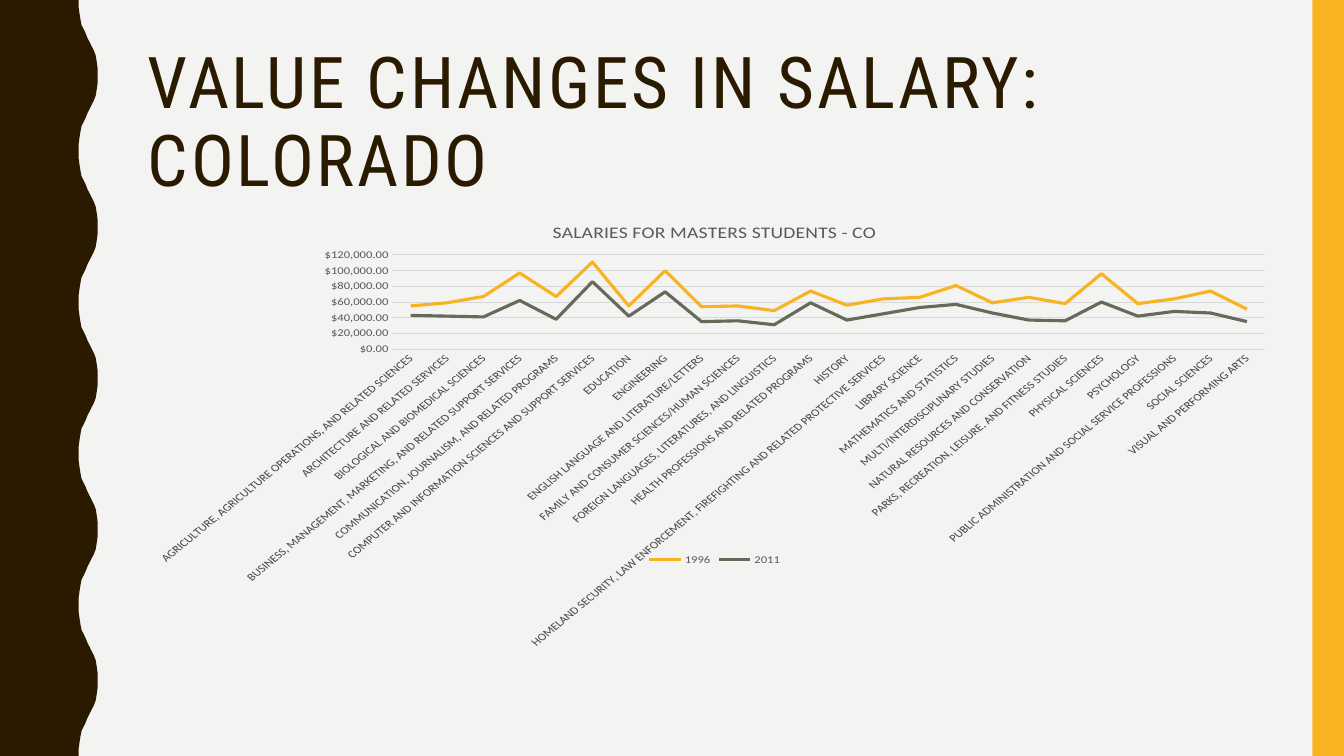
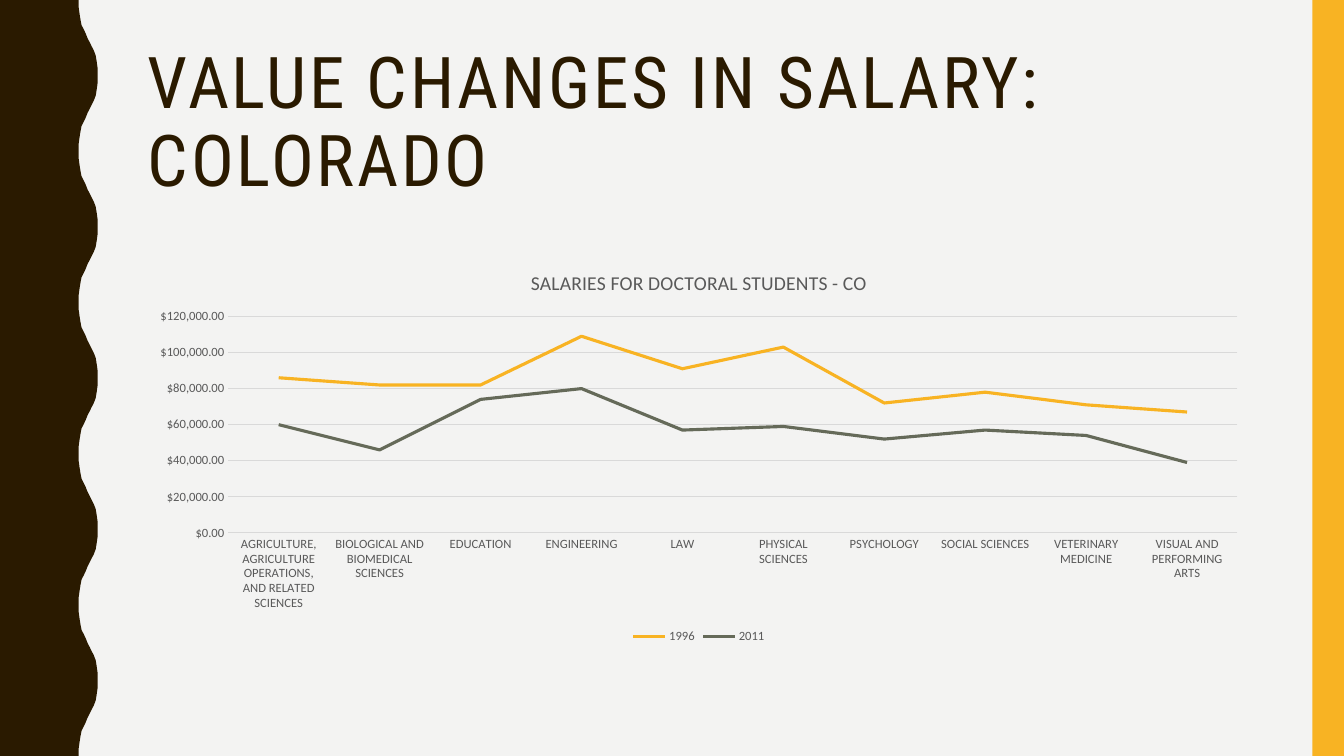
from pptx import Presentation
from pptx.chart.data import CategoryChartData
from pptx.dml.color import RGBColor
from pptx.enum import chart as ch, shapes, text
from pptx.util import Pt

BROWN = RGBColor(0x2A, 0x1A, 0x00)
GOLD = RGBColor(0xF8, 0xB3, 0x23)
OLIVE = RGBColor(0x65, 0x6A, 0x59)
PAPER = RGBColor(0xF3, 0xF3, 0xF2)
GRAY = RGBColor(0x59, 0x59, 0x59)
PALE = RGBColor(0xD9, 0xD9, 0xD9)
BLACK = RGBColor(0, 0, 0)

WIDTH, HEIGHT = 960, 540
HEADING = "VALUE CHANGES IN SALARY: COLORADO"

# Wavy edge: trough to crest, then mirrored to complete one period
PERIOD = 108
RISE = [(56.2, 0), (56.2, 5), (56.9, 10), (57.6, 14.4), (58.3, 18),
        (59.8, 20.9), (61.2, 23.8), (62.6, 27.4), (64.1, 30.2), (65.5, 33.1),
        (67, 36), (68.4, 39.6), (69.1, 43.9), (69.8, 49), (69.8, 54)]
WAVE = RISE + [(x, PERIOD - y) for x, y in RISE[-2::-1]]

# Each row: field of study, 1996 and 2011 salary in thousands of dollars
MASTERS = [
    ("AGRICULTURE, AGRICULTURE OPERATIONS, AND RELATED SCIENCES", 55, 43),
    ("ARCHITECTURE AND RELATED SERVICES", 59, 42),
    ("BIOLOGICAL AND BIOMEDICAL SCIENCES", 67, 41),
    ("BUSINESS, MANAGEMENT, MARKETING, AND RELATED SUPPORT SERVICES", 97, 62),
    ("COMMUNICATION, JOURNALISM, AND RELATED PROGRAMS", 67, 38),
    ("COMPUTER AND INFORMATION SCIENCES AND SUPPORT SERVICES", 111, 86),
    ("EDUCATION", 55, 42),
    ("ENGINEERING", 100, 73),
    ("ENGLISH LANGUAGE AND LITERATURE/LETTERS", 54, 35),
    ("FAMILY AND CONSUMER SCIENCES/HUMAN SCIENCES", 55, 36),
    ("FOREIGN LANGUAGES, LITERATURES, AND LINGUISTICS", 49, 31),
    ("HEALTH PROFESSIONS AND RELATED PROGRAMS", 74, 59),
    ("HISTORY", 56, 37),
    ("HOMELAND SECURITY, LAW ENFORCEMENT, FIREFIGHTING AND RELATED "
     "PROTECTIVE SERVICES", 64, 45),
    ("LIBRARY SCIENCE", 66, 53),
    ("MATHEMATICS AND STATISTICS", 81, 57),
    ("MULTI/INTERDISCIPLINARY STUDIES", 59, 46),
    ("NATURAL RESOURCES AND CONSERVATION", 66, 37),
    ("PARKS, RECREATION, LEISURE, AND FITNESS STUDIES", 58, 36),
    ("PHYSICAL SCIENCES", 96, 60),
    ("PSYCHOLOGY", 58, 42),
    ("PUBLIC ADMINISTRATION AND SOCIAL SERVICE PROFESSIONS", 64, 48),
    ("SOCIAL SCIENCES", 74, 46),
    ("VISUAL AND PERFORMING ARTS", 51, 35),
]
DOCTORAL = [
    ("AGRICULTURE, AGRICULTURE OPERATIONS, AND RELATED SCIENCES", 86, 60),
    ("BIOLOGICAL AND BIOMEDICAL SCIENCES", 82, 46),
    ("EDUCATION", 82, 74),
    ("ENGINEERING", 109, 80),
    ("LAW", 91, 57),
    ("PHYSICAL SCIENCES", 103, 59),
    ("PSYCHOLOGY", 72, 52),
    ("SOCIAL SCIENCES", 78, 57),
    ("VETERINARY MEDICINE", 71, 54),
    ("VISUAL AND PERFORMING ARTS", 67, 39),
]
# Chart title, rows, and left, top, width, height
SLIDES = [
    ("SALARIES FOR MASTERS STUDENTS - CO", MASTERS, (98.6, 147.6, 823.7, 315.4)),
    ("SALARIES FOR DOCTORAL STUDENTS - CO", DOCTORAL, (98.6, 180, 801.4, 283)),
]


def style_font(font, size, color, name="Calibri"):
    font.size, font.name, font.bold = Pt(size), name, False
    font.color.rgb = color


def paint(shape, color):
    shape.shadow.inherit = False
    shape.fill.solid()
    shape.fill.fore_color.rgb = color
    shape.line.fill.background()


prs = Presentation()
prs.slide_width, prs.slide_height = Pt(WIDTH), Pt(HEIGHT)

for chart_title, rows, frame in SLIDES:
    slide = prs.slides.add_slide(prs.slide_layouts[6])
    slide.background.fill.solid()
    slide.background.fill.fore_color.rgb = PAPER

    # Wavy band on the left, plain band on the right
    edge = [(x, y + top) for top in range(0, HEIGHT, PERIOD) for x, y in WAVE]
    outline = slide.shapes.build_freeform(0, 0)
    outline.add_line_segments(
        [(Pt(x), Pt(y)) for x, y in edge + [(0, HEIGHT)]], close=True)
    paint(outline.convert_to_shape(), BROWN)
    paint(slide.shapes.add_shape(shapes.MSO_SHAPE.RECTANGLE, Pt(937.5), 0,
                                 Pt(22.5), Pt(HEIGHT)), GOLD)

    # Heading
    heading = slide.shapes.add_textbox(Pt(98.6), Pt(30), Pt(801.4), Pt(117.6)).text_frame
    heading.word_wrap = True
    heading.vertical_anchor = text.MSO_ANCHOR.MIDDLE
    line = heading.paragraphs[0]
    line.text = HEADING
    line.line_spacing = 0.9
    style_font(line.font, 51, BROWN, "Roboto Condensed")
    line.runs[0].font._element.set("spc", "200")

    # Salary chart
    fields, *salaries = zip(*rows)
    data = CategoryChartData(number_format='"$"#,##0.00')
    data.categories = fields
    for year, thousands in zip(("1996", "2011"), salaries):
        data.add_series(year, [value * 1000 for value in thousands])
    chart = slide.shapes.add_chart(
        ch.XL_CHART_TYPE.LINE, *[Pt(v) for v in frame], data).chart
    style_font(chart.font, 10, BLACK)
    chart.has_title = True
    caption = chart.chart_title.text_frame.paragraphs[0]
    caption.text = chart_title
    style_font(caption.font, 14, GRAY)
    chart.has_legend = True
    chart.legend.position = ch.XL_LEGEND_POSITION.BOTTOM
    chart.legend.include_in_layout = False
    style_font(chart.legend.font, 9, GRAY)

    for series, color in zip(chart.plots[0].series, (GOLD, OLIVE)):
        series.smooth = False
        series.format.line.color.rgb = color
        series.format.line.width = Pt(2.25)

    # Axes
    study, salary = chart.category_axis, chart.value_axis
    for axis in (study, salary):
        axis.major_tick_mark = axis.minor_tick_mark = ch.XL_TICK_MARK.NONE
        style_font(axis.tick_labels.font, 9, GRAY)
    salary.tick_labels.number_format = '"$"#,##0.00'
    salary.tick_labels.number_format_is_linked = False
    salary.format.line.fill.background()
    salary.has_major_gridlines = True
    for rule in (study.format.line, salary.major_gridlines.format.line):
        rule.color.rgb = PALE
        rule.width = Pt(0.75)
    # This angle lets the renderer choose the label rotation
    study._element.txPr.bodyPr.set("rot", "-60000000")

prs.save("out.pptx")
